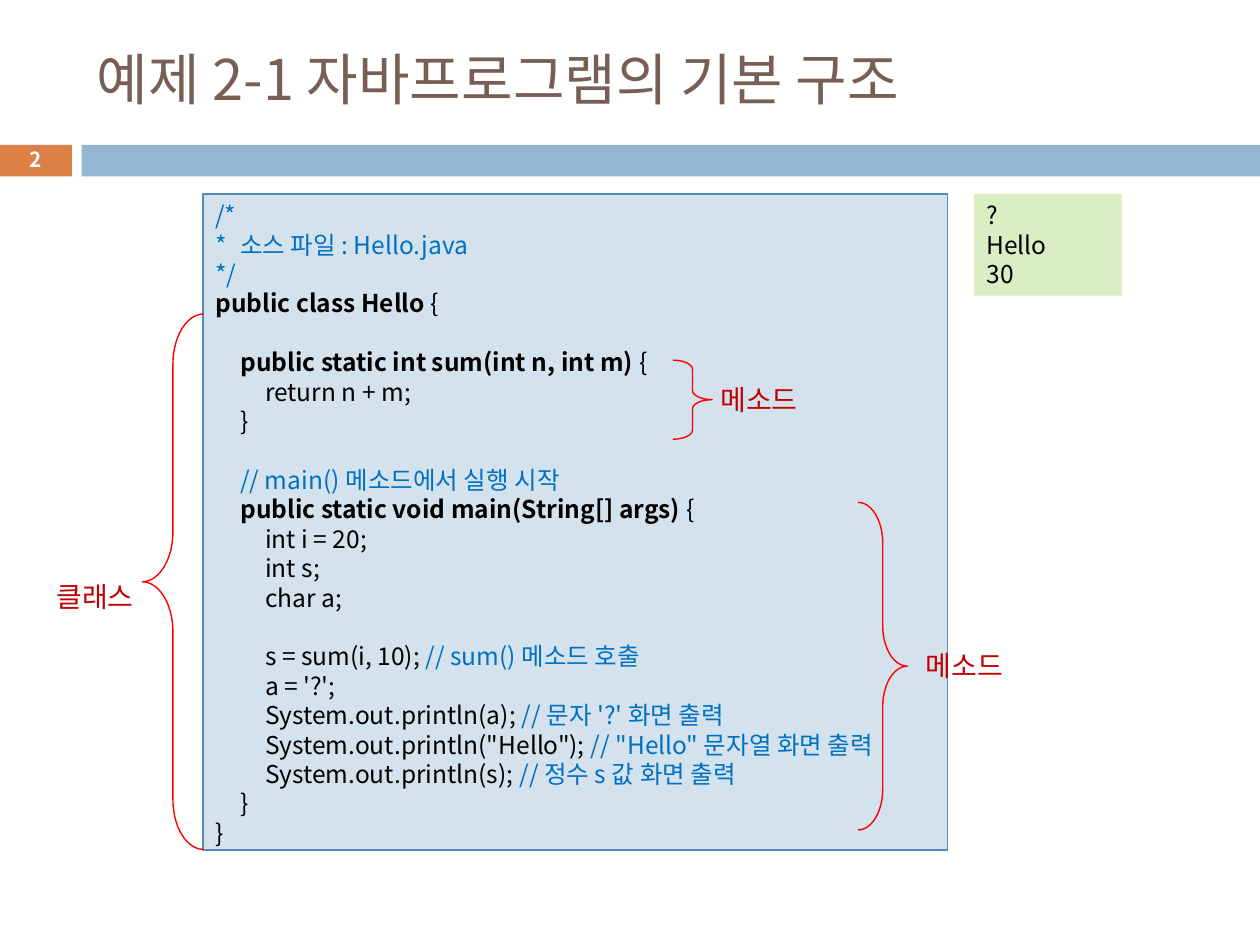
from lxml.etree import SubElement
from pptx import Presentation
from pptx.dml.color import RGBColor
from pptx.enum.shapes import MSO_SHAPE
from pptx.enum.text import MSO_ANCHOR, MSO_AUTO_SIZE, PP_ALIGN
from pptx.oxml.ns import qn
from pptx.util import Pt

HUES = {
    "white": "FFFFFF", "black": "000000", "brown": "775F55",
    "orange": "DD8047", "blue": "94B6D2", "pale": "D4E2ED",
    "edge": "558BB8", "note": "0070C0", "label": "C00000",
    "green": "DAEEC4", "red": "FF0000",
}
CODE = [
    [("/*", "note")],
    [("*\t소스 파일 : Hello.java", "note")],
    [("*/", "note")],
    [("public class Hello ", "bold"), ("{", "black")],
    [],
    [("\tpublic static int sum(int n, int m) ", "bold"), ("{", "black")],
    [("\t\treturn n + m;", "black")],
    [("\t}", "black")],
    [],
    [("\t// main() 메소드에서 실행 시작", "note")],
    [("\tpublic static void main(String[] args) ", "bold"), ("{", "black")],
    [("\t\tint i = 20;", "black")],
    [("\t\tint s;", "black")],
    [("\t\tchar a;", "black")],
    [],
    [("\t\ts = sum(i, 10); ", "black"), ("// sum() 메소드 호출", "note")],
    [("\t\ta = '?';", "black")],
    [("\t\tSystem.out.println(a); ", "black"), ("// 문자 '?' 화면 출력", "note")],
    [("\t\tSystem.out.println(\"Hello\"); ", "black"),
     ("// \"Hello\" 문자열 화면 출력", "note")],
    [("\t\tSystem.out.println(s); ", "black"), ("// 정수 s 값 화면 출력", "note")],
    [("\t}", "black")],
    [("}", "black")],
]


class Deck:
    face = "Noto Sans CJK KR"
    pitch = 16.8
    tab = 14.2

    def __init__(self):
        self.prs = Presentation()
        self.prs.slide_width, self.prs.slide_height = Pt(720), Pt(540)
        self.slide = self.prs.slides.add_slide(self.prs.slide_layouts[5])

    def color(self, name):
        return RGBColor.from_string(HUES[name])

    def place(self, shape, box):
        shape.left, shape.top, shape.width, shape.height = map(Pt, box)

    def run(self, para, text, size, hue, bold=False):
        run = para.add_run()
        run.text = text
        font = run.font
        font.name, font.size, font.bold = self.face, Pt(size), bold
        font.color.rgb = self.color(hue)
        SubElement(font._element, qn("a:ea")).set("typeface", self.face)

    def title(self, text, box):
        shape = self.slide.shapes.title
        self.place(shape, box)
        frame = shape.text_frame
        frame.auto_size = MSO_AUTO_SIZE.NONE
        frame.vertical_anchor = MSO_ANCHOR.MIDDLE
        para = frame.paragraphs[0]
        para.alignment = PP_ALIGN.LEFT
        self.run(para, text, 32, "brown")

    def shape(self, kind, box, fill=None, line=None, width=0.75):
        shape = self.slide.shapes.add_shape(kind, *map(Pt, box))
        shape.shadow.inherit = False
        if fill:
            shape.fill.solid()
            shape.fill.fore_color.rgb = self.color(fill)
        else:
            shape.fill.background()
        if line:
            shape.line.color.rgb = self.color(line)
            shape.line.width = Pt(width)
        else:
            shape.line.fill.background()
        return shape

    def bar(self, box, fill):
        self.shape(MSO_SHAPE.RECTANGLE, box, fill)

    def panel(self, box, fill, lines, line=None):
        frame = self.shape(MSO_SHAPE.RECTANGLE, box, fill, line).text_frame
        frame.word_wrap = True
        frame.vertical_anchor = MSO_ANCHOR.TOP
        for i, parts in enumerate(lines):
            para = frame.add_paragraph() if i else frame.paragraphs[0]
            para.alignment = PP_ALIGN.LEFT
            para.line_spacing = Pt(self.pitch)
            tabs = SubElement(para._p.get_or_add_pPr(), qn("a:tabLst"))
            for n in (1, 2):
                stop = SubElement(tabs, qn("a:tab"))
                stop.set("pos", str(Pt(self.tab * n)))
                stop.set("algn", "l")
            for text, style in parts:
                bold = style == "bold"
                self.run(para, text, 14, "black" if bold else style, bold)

    def label(self, text, box, size=16, hue="label", bold=False, mid=False):
        shape = self.slide.shapes.add_textbox(*map(Pt, box))
        frame = shape.text_frame
        frame.word_wrap = mid
        para = frame.paragraphs[0]
        if mid:
            frame.vertical_anchor = MSO_ANCHOR.MIDDLE
            para.alignment = PP_ALIGN.CENTER
        self.run(para, text, size, hue, bold)

    def brace(self, box, curve, turn=0):
        shape = self.shape(MSO_SHAPE.RIGHT_BRACE, box, line="red", width=0.79)
        shape.adjustments[0] = curve
        shape.adjustments[1] = 0.5
        shape.rotation = turn


def main():
    deck = Deck()
    deck.bar((-0.7, 82.8, 41.8, 18), "orange")
    deck.bar((46.6, 82.8, 673.4, 18), "blue")
    deck.title("예제 2-1 자바프로그램의 기본 구조", (48.2, 18, 642.2, 53.3))
    deck.label("2", (-0.7, 81.4, 41.8, 19.4), 11.9, "white", True, True)
    deck.panel((116, 110.8, 425.5, 375), "pale", CODE, "edge")
    deck.label("메소드", (404.6, 215.3, 63.4, 26.6))
    deck.label("메소드", (522, 367.2, 63.4, 26.6))
    deck.label("클래스", (25.2, 327.6, 68.4, 26.6))
    shown = [[(word, "black")] for word in ("?", "Hello", "30")]
    deck.panel((556.6, 110.8, 84.4, 58.2), "green", shown)
    deck.brace((384.5, 205.8, 22.5, 45.2), 0.23)
    deck.brace((490.3, 287.1, 28.2, 187.2), 0.82)
    deck.brace((81.3, 179.4, 35, 306), 0.82, 180)
    deck.prs.save("out.pptx")


if __name__ == "__main__":
    main()
